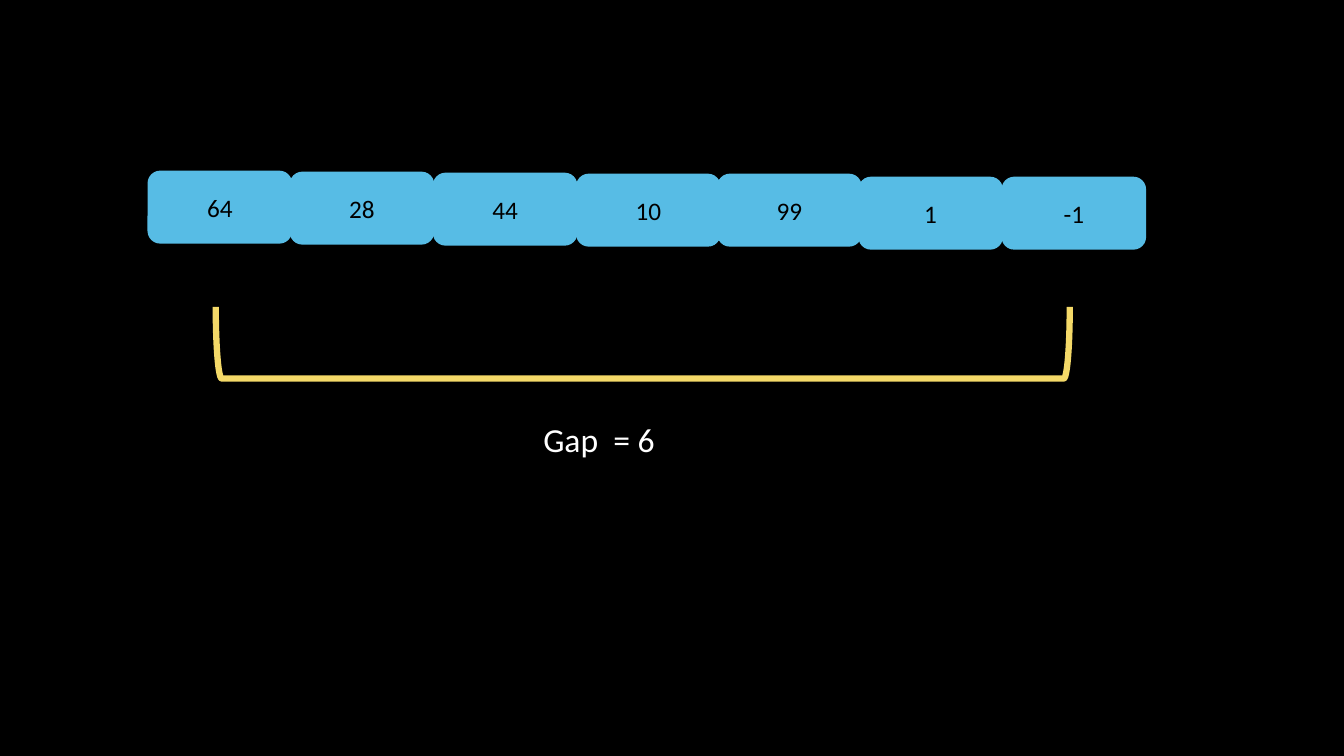
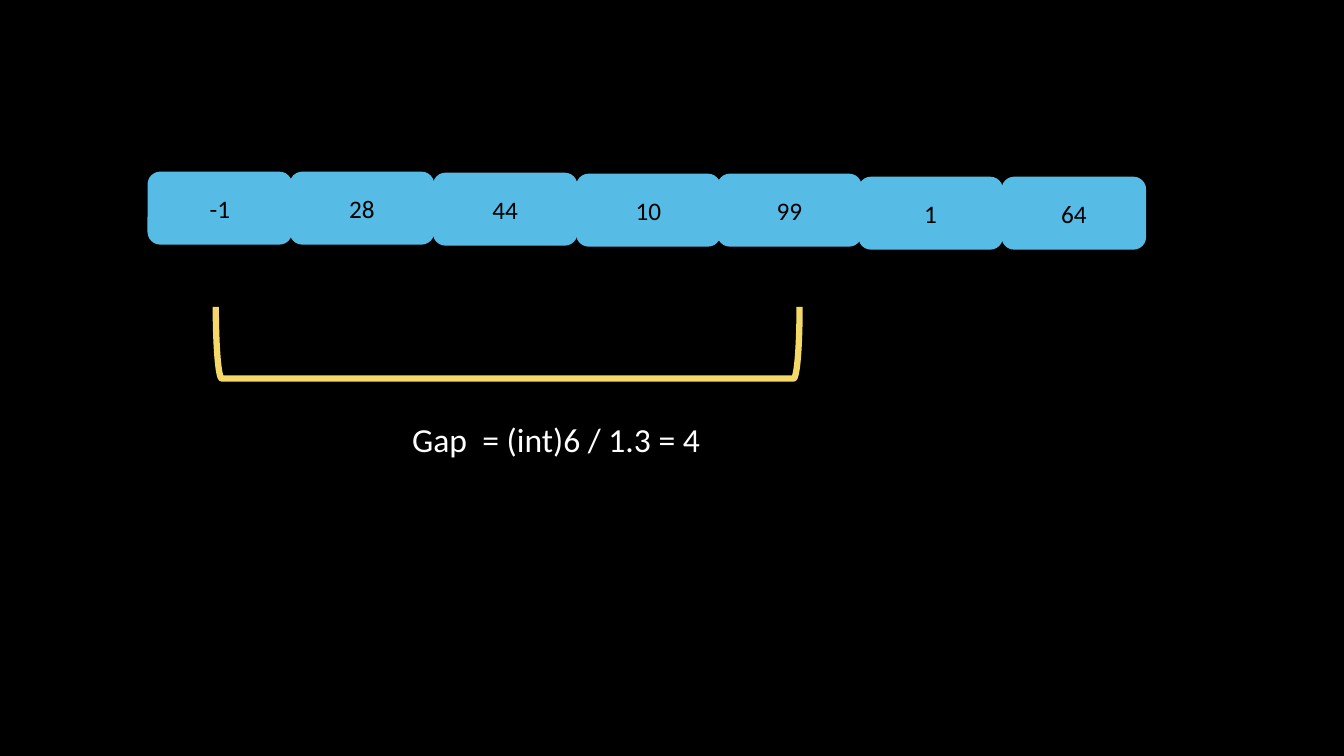
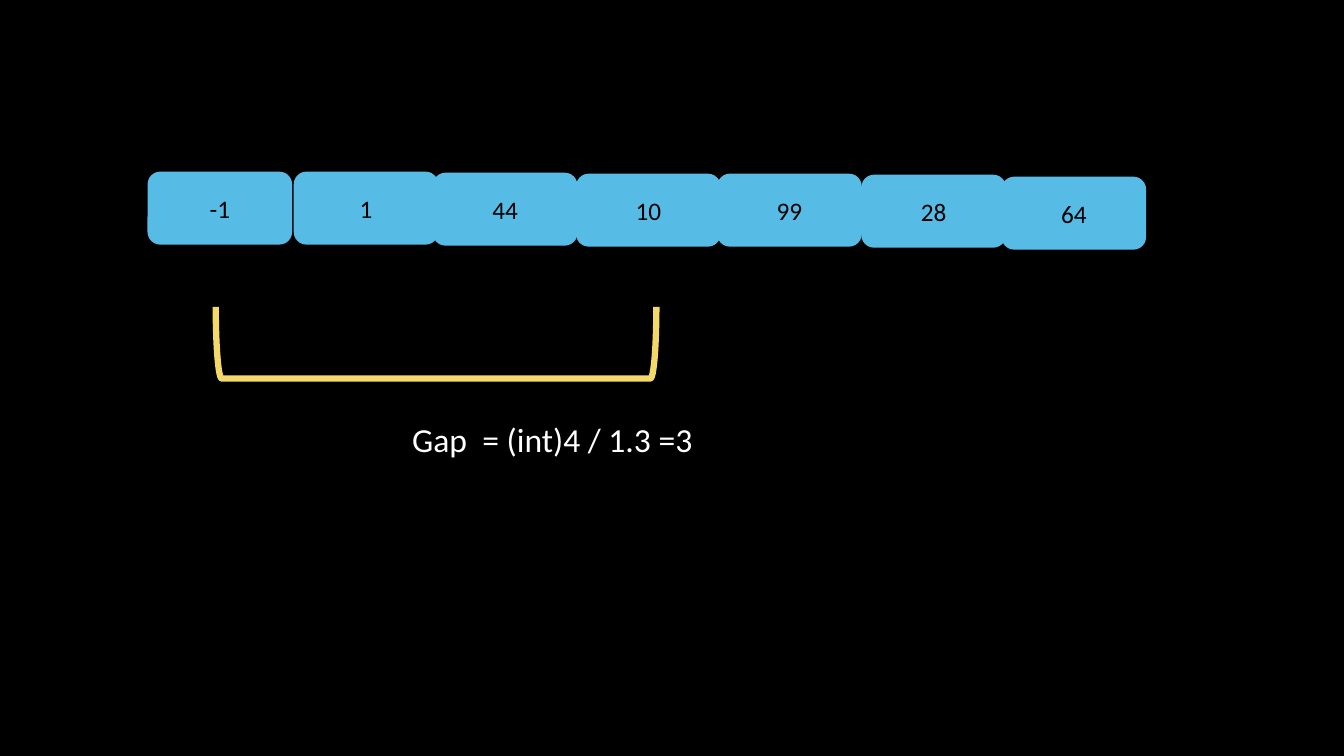
from dataclasses import dataclass, field
from typing import NamedTuple

from pptx import Presentation
from pptx.dml.color import RGBColor
from pptx.enum.shapes import MSO_SHAPE
from pptx.enum.text import MSO_ANCHOR, MSO_AUTO_SIZE, PP_ALIGN
from pptx.util import Inches, Pt

BLACK, WHITE, BLUE, YELLOW = "000000", "FFFFFF", "57BCE5", "F4D968"
CELL_W, CELL_H = 1.42, 0.71
BRACKET_LEFT, BRACKET_MID, BRACKET_DEPTH = 2.14, 3.4, 0.71
CAPTION_TOP, CAPTION_H = 4.15, 0.46
CELL_FONT = {"name": "Calibri", "size": Pt(18)}
CAPTION_FONT = {"name": "Calibri", "size": Pt(24)}


class Slot(NamedTuple):
    left: float
    top: float


SLOTS = [
    Slot(1.47, 1.71), Slot(2.88, 1.71), Slot(4.3, 1.72), Slot(5.72, 1.73),
    Slot(7.12, 1.73), Slot(8.52, 1.76), Slot(9.94, 1.76),
]


@dataclass
class Step:
    values: list[int]
    span: float
    caption: str
    caption_left: float
    caption_width: float
    moved: dict[int, Slot] = field(default_factory=dict)


STEPS = [
    Step([64, 28, 44, 10, 99, 1, -1], 8.47, "Gap  = 6", 5.29, 2.76,
         {0: Slot(1.47, 1.7)}),
    Step([-1, 28, 44, 10, 99, 1, 64], 5.79, "Gap  = (int)6 / 1.3 = 4", 3.99, 3.62),
    Step([-1, 1, 44, 10, 99, 28, 64], 4.37, "Gap  = (int)4 / 1.3 =3", 3.99, 3.62,
         {1: Slot(2.92, 1.71), 5: Slot(8.55, 1.74)}),
]


def rgb(color: str) -> RGBColor:
    return RGBColor.from_string(color)


def write(tf, text: str, font: dict, color: str):
    p = tf.paragraphs[0]
    r = p.add_run()
    r.text = text
    for name, value in font.items():
        setattr(r.font, name, value)
    r.font.color.rgb = rgb(color)
    return p


def add_outlined(s, kind: MSO_SHAPE, box: tuple, color: str, weight: float):
    sp = s.shapes.add_shape(kind, *map(Inches, box))
    sp.shadow.inherit = False
    sp.line.color.rgb = rgb(color)
    sp.line.width = Pt(weight)
    return sp


def add_cell(s, slot: Slot, value: int) -> None:
    sp = add_outlined(s, MSO_SHAPE.ROUNDED_RECTANGLE, (*slot, CELL_W, CELL_H), BLUE, 1)
    sp.fill.solid()
    sp.fill.fore_color.rgb = rgb(BLUE)
    sp.text_frame.vertical_anchor = MSO_ANCHOR.MIDDLE
    p = write(sp.text_frame, str(value), CELL_FONT, BLACK)
    p.alignment = PP_ALIGN.CENTER


def add_bracket(s, span: float) -> None:
    left = BRACKET_LEFT + (span - BRACKET_DEPTH) / 2
    box = (left, BRACKET_MID - span / 2, BRACKET_DEPTH, span)
    sp = add_outlined(s, MSO_SHAPE.LEFT_BRACKET, box, YELLOW, 4.5)
    sp.fill.background()
    sp.rotation = 270


def add_caption(s, step: Step) -> None:
    box = (step.caption_left, CAPTION_TOP, step.caption_width, CAPTION_H)
    tf = s.shapes.add_textbox(*map(Inches, box)).text_frame
    tf.word_wrap = True
    tf.auto_size = MSO_AUTO_SIZE.SHAPE_TO_FIT_TEXT
    write(tf, step.caption, CAPTION_FONT, WHITE).line_spacing = 0.9


def add_step(prs, step: Step) -> None:
    s = prs.slides.add_slide(prs.slide_layouts[6])
    for i, (slot, value) in enumerate(zip(SLOTS, step.values)):
        add_cell(s, step.moved.get(i, slot), value)
    add_bracket(s, step.span)
    add_caption(s, step)


def main() -> None:
    """Build the comb sort gap slides."""
    prs = Presentation()
    prs.slide_width, prs.slide_height = Inches(13.33), Inches(7.5)
    fill = prs.slide_master.background.fill
    fill.solid()
    fill.fore_color.rgb = rgb(BLACK)
    for step in STEPS:
        add_step(prs, step)
    prs.save("out.pptx")


if __name__ == "__main__":
    main()
